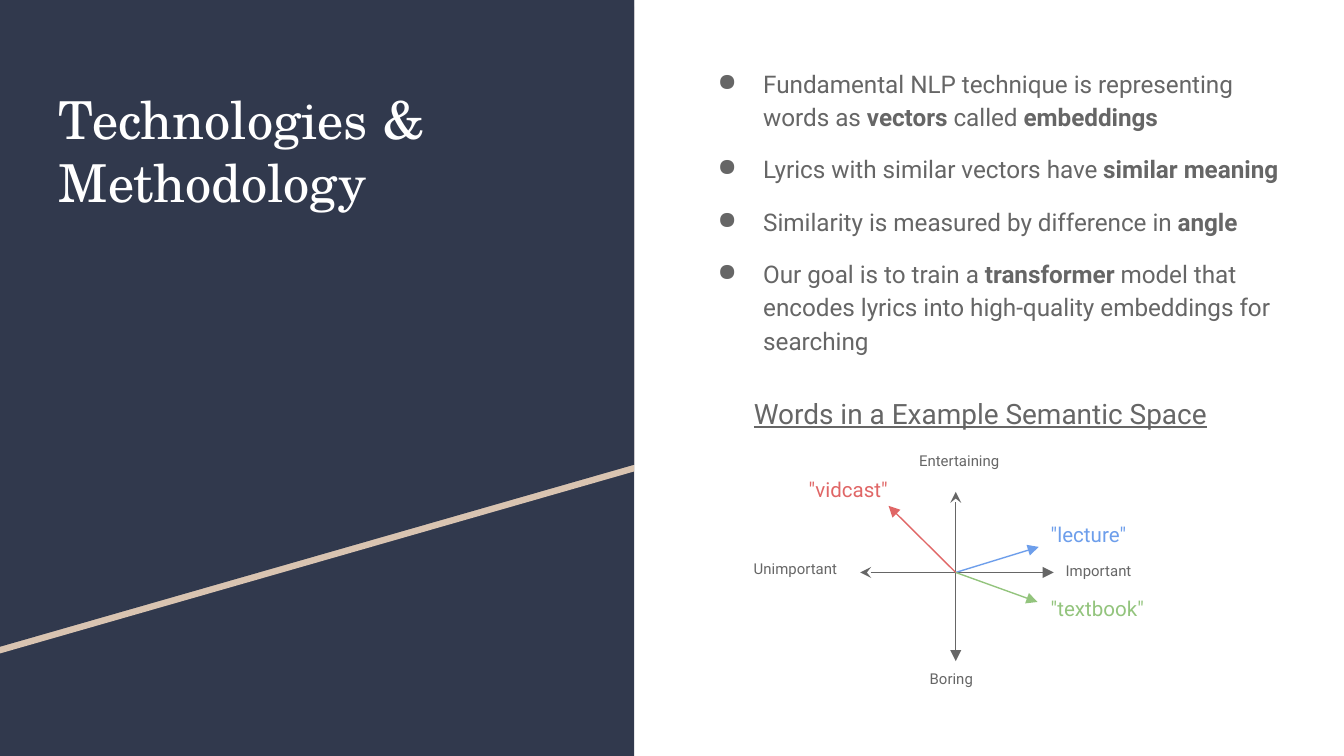
import pptx
import pptx.dml.color
import pptx.enum.shapes
import pptx.oxml.ns
import pptx.util
from lxml import etree

Pt = pptx.util.Pt
qn = pptx.oxml.ns.qn
COLORS = {
    "navy": "31394D", "sand": "D9C4B1", "white": "FFFFFF", "gray": "666666",
    "blue": "6D9EEB", "green": "93C47D", "red": "E06666",
}

deck = pptx.Presentation()
deck.slide_width, deck.slide_height = Pt(720), Pt(405)
slide = deck.slides.add_slide(deck.slide_layouts[6])


def rgb(name):
    return pptx.dml.color.RGBColor.from_string(COLORS[name])


def add_text(paragraphs, left, top, width, height, size=8, color="gray", font="Roboto",
             underline=None, spacing=None, before=0, after=0, bullet=None):
    """Each paragraph is a string whose odd parts between * marks are bold."""
    frame = slide.shapes.add_textbox(Pt(left), Pt(top), Pt(width), Pt(height)).text_frame
    frame.word_wrap = True
    frame.margin_left = frame.margin_right = frame.margin_top = frame.margin_bottom = Pt(7.2)
    for i, text in enumerate(paragraphs):
        paragraph = frame.paragraphs[0] if i == 0 else frame.add_paragraph()
        paragraph.line_spacing = spacing
        paragraph.space_before = Pt(before if i else 0)
        paragraph.space_after = Pt(after)
        for j, part in enumerate(text.split("*")):
            if part:
                run = paragraph.add_run()
                run.text = part
                run.font.name, run.font.size = font, Pt(size)
                run.font.bold, run.font.underline = j % 2 == 1, underline
                run.font.color.rgb = rgb(color)
        if bullet:
            properties = paragraph._p.get_or_add_pPr()
            properties.set("marL", str(Pt(36)))
            properties.set("indent", str(Pt(-24.5)))
            bullet_color = etree.SubElement(properties, qn("a:buClr"))
            etree.SubElement(bullet_color, qn("a:srgbClr"), val=COLORS[color])
            etree.SubElement(properties, qn("a:buChar"), char=bullet)


# Left panel: navy base, then a sand slope and a navy slope that leaves a stripe
panel_width = 339.75
panel = slide.shapes.add_shape(pptx.enum.shapes.MSO_SHAPE.RECTANGLE,
                               0, 0, Pt(panel_width), Pt(405))
panel_parts = [(panel, "navy")]
for top, color in [(3.6, "sand"), (0, "navy")]:
    outline = slide.shapes.build_freeform(0, Pt(top))
    outline.add_line_segments([(Pt(panel_width), Pt(top)), (Pt(panel_width), Pt(top + 249)),
                               (0, Pt(top + 346.5))], close=True)
    panel_parts.append((outline.convert_to_shape(), color))
for part, color in panel_parts:
    part.shadow.inherit = False
    part.fill.solid()
    part.fill.fore_color.rgb = rgb(color)
    part.line.fill.background()

# Title and key points
add_text(["Technologies & Methodology"], 24.5, 39.6, 291.6, 197.3,
         size=28, color="white", font="TeX Gyre Schola")
add_text([
    "Fundamental NLP technique is representing words as *vectors *called *embeddings",
    "Lyrics with similar vectors have* similar meaning",
    "Similarity is measured by difference in *angle",
    "Our goal is to train a *transformer* model that encodes lyrics into "
    "high-quality embeddings for searching",
], 365.8, 27.4, 328.3, 178.6, size=13, spacing=1.15, before=10, bullet="●")

# Semantic space: axes and word vectors from a shared origin
origin = (512, 306.7)
arrows = [
    ((origin[0], 263.5), (origin[0], 354.2), "gray", "stealth"),
    ((460.8, origin[1]), (564.5, origin[1]), "gray", "stealth"),
    (origin, (556.5, 293), "blue", None),
    (origin, (555.8, 322.5), "green", None),
    (origin, (476, 271), "red", None),
]
for start, end, color, head in arrows:
    arrow = slide.shapes.add_connector(pptx.enum.shapes.MSO_CONNECTOR.STRAIGHT,
                                       *map(Pt, start + end))
    arrow.line.width = Pt(0.75)
    arrow.line.color.rgb = rgb(color)
    line = arrow.line._get_or_add_ln()
    if head:
        etree.SubElement(line, qn("a:headEnd"), type=head, w="med", len="med")
    etree.SubElement(line, qn("a:tailEnd"), type="triangle", w="med", len="med")
    etree.SubElement(arrow._element.spPr, qn("a:effectLst"))

# Axis labels
for label, left, top, width in [
    ("Important", 563.8, 296, 54.7),
    ("Unimportant", 396.7, 294.8, 60.5),
    ("Entertaining", 485.3, 237.2, 60.5),
    ("Boring", 491, 354.2, 47.5),
]:
    add_text([label], left, top, width, 24.5)

# Word labels
for word, left, top, width, color in [
    ('"lecture"', 555.8, 272.9, 85.7, "blue"),
    ('"textbook"', 555.8, 312.5, 106.6, "green"),
    ('"vidcast"', 426.2, 249.1, 69.8, "red"),
]:
    add_text([word], left, top, width, 28, size=11, color=color)

# Diagram heading
add_text(["Words in a Example Semantic Space"], 396.7, 202.3, 301, 32.4,
         size=15, underline=True, spacing=1.15, after=12)

deck.save("out.pptx")
